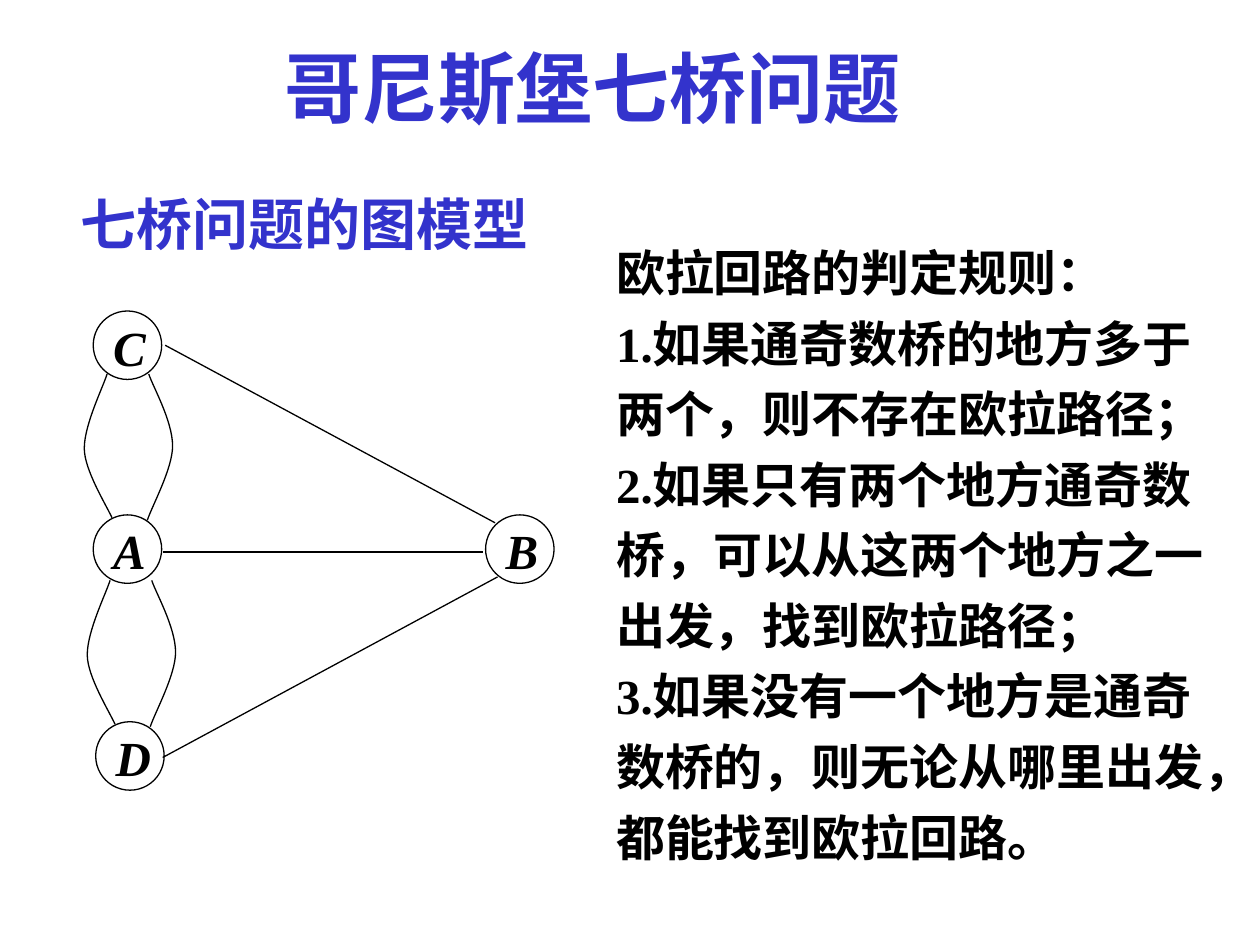
from dataclasses import dataclass

from pptx import Presentation
from pptx.dml.color import RGBColor
from pptx.enum.shapes import MSO_CONNECTOR, MSO_SHAPE
from pptx.enum.text import MSO_ANCHOR, MSO_AUTO_SIZE, PP_ALIGN
from pptx.oxml.ns import qn
from pptx.util import Cm, Pt
from lxml.etree import SubElement


@dataclass(frozen=True)
class Theme:
    font: str = "Times New Roman"
    accent: RGBColor = RGBColor(0x33, 0x33, 0xCC)
    ink: RGBColor = RGBColor(0, 0, 0)
    title: int = 44
    heading: int = 32
    body: int = 28
    line: float = 0.75


THEME = Theme()
NODE_SIZE = 1.38

# Node centres, in cm
NODES = {"C": (2.57, 6.96), "A": (2.57, 11.07), "D": (2.62, 15.24), "B": (10.48, 11.07)}

STRAIGHT_BRIDGES = [
    (3.33, 6.96, 9.98, 10.54),
    (3.28, 11.13, 9.73, 11.13),
    (3.28, 15.27, 10.03, 11.63),
]

# Bézier points of the two bridges from C to A; those from A to D are shifted
CURVED_BRIDGES = [
    [(2.16, 7.54), (2.08, 7.8), (1.7, 8.56), (1.7, 9.04),
     (1.7, 9.47), (2.13, 10.16), (2.26, 10.44)],
    [(3, 7.54), (3.07, 7.77), (3.48, 8.48), (3.48, 8.99),
     (3.48, 9.45), (3.07, 10.19), (2.97, 10.49)],
]
CURVE_SHIFTS = [(0, 0), (0.06, 4.16)]

RULES = [
    "欧拉回路的判定规则：",
    "1.如果通奇数桥的地方多于两个，则不存在欧拉路径；",
    "2.如果只有两个地方通奇数桥，可以从这两个地方之一出发，找到欧拉路径；",
    "3.如果没有一个地方是通奇数桥的，则无论从哪里出发，都能找到欧拉回路。",
]


def set_insets(tf, left, top, right, bottom):
    tf.margin_left, tf.margin_top = Cm(left), Cm(top)
    tf.margin_right, tf.margin_bottom = Cm(right), Cm(bottom)


def style_paragraph(p, size, color, align, spacing=1.0, italic=False):
    p.alignment = align
    p.line_spacing = spacing
    p.space_before = Pt(0)
    for r in p.runs:
        r.font.name = THEME.font
        r.font.size = Pt(size)
        r.font.bold = True
        r.font.italic = italic
        r.font.color.rgb = color


def fill_placeholder(sp, box, lines, size, color, align, anchor, spacing=1.0):
    """Place a placeholder and fill it with unbulleted paragraphs."""
    sp.left, sp.top, sp.width, sp.height = map(Cm, box)
    tf = sp.text_frame
    tf.text = "\n".join(lines)
    tf.word_wrap = True
    tf.auto_size = MSO_AUTO_SIZE.NONE
    tf.vertical_anchor = anchor
    set_insets(tf, 0.25, 0.13, 0.25, 0.13)
    for p in tf.paragraphs:
        style_paragraph(p, size, color, align, spacing)
        pPr = p._p.get_or_add_pPr()
        pPr.set("marL", "0")
        pPr.set("indent", "0")
        SubElement(pPr, qn("a:buNone"))


def outline(sp):
    sp.line.color.rgb = THEME.ink
    sp.line.width = Pt(THEME.line)


def add_node(s, name, x, y):
    half = NODE_SIZE / 2
    sp = s.shapes.add_shape(MSO_SHAPE.OVAL, Cm(x - half), Cm(y - half),
                            Cm(NODE_SIZE), Cm(NODE_SIZE))
    sp.shadow.inherit = False
    sp.fill.background()
    outline(sp)
    tf = sp.text_frame
    tf.text = name
    tf.vertical_anchor = MSO_ANCHOR.TOP
    set_insets(tf, 0.2, 0.15, 0, 0)
    style_paragraph(tf.paragraphs[0], THEME.body, THEME.ink, PP_ALIGN.JUSTIFY, 0.8, True)


def add_straight_bridge(s, ends):
    line = s.shapes.add_connector(MSO_CONNECTOR.STRAIGHT, *map(Cm, ends))
    outline(line)
    SubElement(line._element.spPr, qn("a:effectLst"))


def add_curved_bridge(s, points):
    """Draw a freeform and merge each three line segments into a cubic curve."""
    start, *rest = [(Cm(x), Cm(y)) for x, y in points]
    builder = s.shapes.build_freeform(*start)
    builder.add_line_segments(rest, close=False)
    sp = builder.convert_to_shape()
    sp.shadow.inherit = False
    sp.fill.background()
    outline(sp)
    segments = sp._element.xpath(".//a:lnTo")
    outline_xml = segments[0].getparent()
    for i in range(0, len(segments), 3):
        curve = SubElement(outline_xml, qn("a:cubicBezTo"))
        for segment in segments[i:i + 3]:
            curve.append(segment[0])
            outline_xml.remove(segment)


def main():
    prs = Presentation()
    prs.slide_width, prs.slide_height = Cm(25.4), Cm(19.05)
    s = prs.slides.add_slide(prs.slide_layouts.get_by_name("Two Content"))
    title, heading, rules = list(s.placeholders)[:3]

    fill_placeholder(title, (4.65, 0.79, 14.6, 1.9), ["哥尼斯堡七桥问题"],
                     THEME.title, THEME.accent, PP_ALIGN.CENTER, MSO_ANCHOR.MIDDLE)
    fill_placeholder(heading, (1.37, 3.68, 12.32, 1.4), ["七桥问题的图模型"],
                     THEME.heading, THEME.accent, PP_ALIGN.JUSTIFY, MSO_ANCHOR.TOP)
    fill_placeholder(rules, (12.17, 4.52, 13, 13.06), RULES,
                     THEME.body, THEME.ink, PP_ALIGN.LEFT, MSO_ANCHOR.TOP, 1.2)

    for name, (x, y) in NODES.items():
        add_node(s, name, x, y)
    for ends in STRAIGHT_BRIDGES:
        add_straight_bridge(s, ends)
    for dx, dy in CURVE_SHIFTS:
        for points in CURVED_BRIDGES:
            add_curved_bridge(s, [(x + dx, y + dy) for x, y in points])

    prs.save("out.pptx")


if __name__ == "__main__":
    main()
